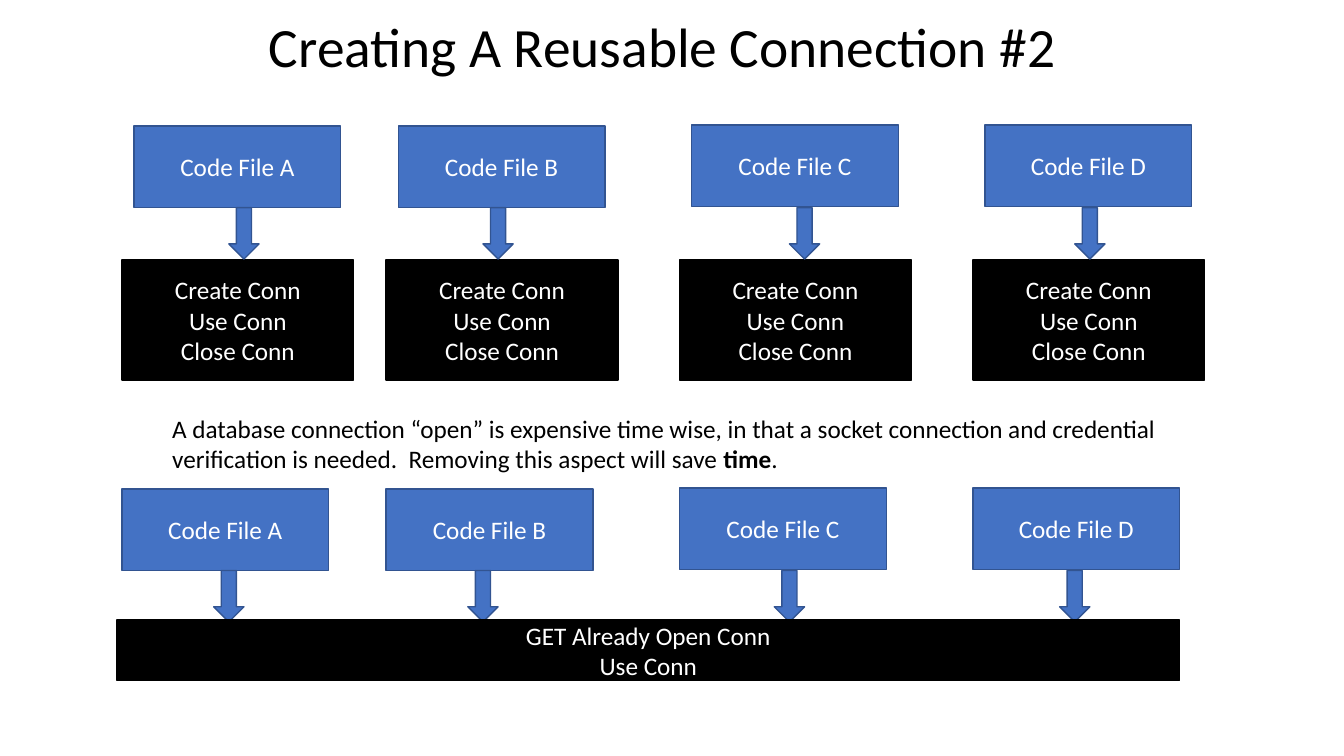
from dataclasses import dataclass

from pptx import Presentation
from pptx import util as u
from pptx.dml.color import RGBColor
from pptx.enum import shapes, text


@dataclass(frozen=True)
class Theme:
    font: str = "Calibri"
    blue: str = "4472C4"
    edge: str = "325491"
    black: str = "000000"
    white: str = "FFFFFF"
    title: float = 39.6
    body: float = 18


theme = Theme()
PX = 9144  # 100 px to the inch
RECT = shapes.MSO_SHAPE.RECTANGLE
ARROW = shapes.MSO_SHAPE.DOWN_ARROW
CENTER = text.PP_ALIGN.CENTER


def write(shape, lines, color, size=theme.body, align=CENTER):
    """Fill a shape with paragraphs, each a list of (words, bold) runs."""
    frame = shape.text_frame
    frame.word_wrap = True
    for i, runs in enumerate(lines):
        para = frame.add_paragraph() if i else frame.paragraphs[0]
        para.alignment = align
        for words, bold in runs:
            run = para.add_run()
            run.text = words
            run.font.name = theme.font
            run.font.size = u.Pt(size)
            run.font.bold = bold
            run.font.color.rgb = RGBColor.from_string(color)


def draw(kind, box, fill, edge, lines=()):
    """Add a filled shape with centred white lines of text."""
    shape = slide.shapes.add_shape(kind, *(n * PX for n in box))
    shape.shadow.inherit = False
    shape.fill.solid()
    shape.fill.fore_color.rgb = RGBColor.from_string(fill)
    shape.line.color.rgb = RGBColor.from_string(edge)
    shape.line.width = u.Pt(1)
    if lines:
        shape.text_frame.vertical_anchor = text.MSO_ANCHOR.MIDDLE
        write(shape, [[(line, False)] for line in lines], theme.white)


deck = Presentation()
deck.slide_width = 1333 * PX
deck.slide_height = 750 * PX
slide = deck.slides.add_slide(deck.slide_layouts[6])

# Title
title = slide.shapes.add_textbox(82 * PX, 12 * PX, 1150 * PX, 75 * PX)
title.text_frame.vertical_anchor = text.MSO_ANCHOR.MIDDLE
write(title, [[("Creating A Reusable Connection #2", False)]], theme.black, theme.title)
title.text_frame.paragraphs[0].line_spacing = 0.9

# Each code file: name, column left, arrow left, rise of its box
files = [("A", 121, 227, 0), ("B", 383, 479, 0), ("C", 674, 783, 1), ("D", 965, 1066, 1)]

# Upper row opens its own connections; lower row shares one
for top, file_shift, arrow_shift in [(125, 12, 0), (485, 0, -15)]:
    for name, left, tip, rise in files:
        draw(RECT, (left + file_shift, top - rise, 205, 81),
             theme.blue, theme.edge, [f"Code File {name}"])
        if top == 125:
            draw(RECT, (left, 258, 230, 119), theme.black, theme.black,
                 ["Create Conn", "Use Conn", "Close Conn"])
        draw(ARROW, (tip + arrow_shift, top + 81, 30, 51), theme.blue, theme.edge)

draw(RECT, (116, 615, 1054, 60), theme.black, theme.black,
     ["GET Already Open Conn", "Use Conn"])

# Explanation between the rows
note = slide.shapes.add_textbox(161 * PX, 405 * PX, 1057 * PX, 71 * PX)
write(note, [[
    ("A database connection “open” is expensive time wise, in that a socket connection "
     "and credential verification is needed.  Removing this aspect will save ", False),
    ("time", True),
    (".", False),
]], theme.black, align=text.PP_ALIGN.LEFT)

deck.save("out.pptx")
